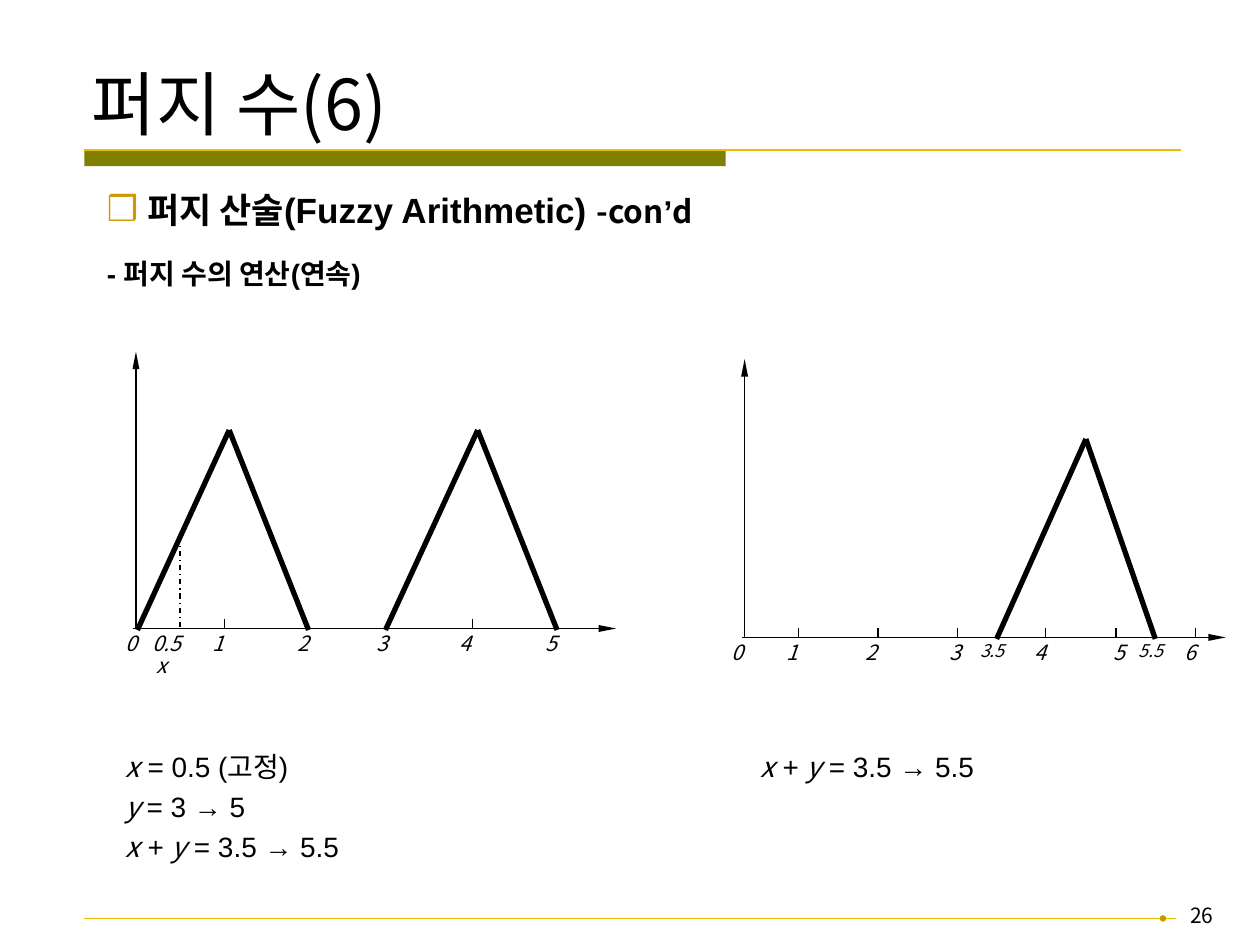
from dataclasses import dataclass

from lxml import etree
from pptx import Presentation
from pptx.dml.color import RGBColor
from pptx.enum.dml import MSO_LINE
from pptx.enum.shapes import MSO_CONNECTOR, MSO_SHAPE
from pptx.enum.text import MSO_ANCHOR, MSO_AUTO_SIZE, PP_ALIGN
from pptx.oxml.ns import qn
from pptx.util import Cm, Pt

STRAIGHT = MSO_CONNECTOR.STRAIGHT
RECT, OVAL = MSO_SHAPE.RECTANGLE, MSO_SHAPE.OVAL
DASH_DOT = MSO_LINE.DASH_DOT
TOP, BOTTOM = MSO_ANCHOR.TOP, MSO_ANCHOR.BOTTOM
LEFT, RIGHT, JUSTIFY = PP_ALIGN.LEFT, PP_ALIGN.RIGHT, PP_ALIGN.JUSTIFY


@dataclass(frozen=True)
class Theme:
    ink: str = "000000"
    olive: str = "808000"
    gold: str = "EABD00"
    bullet: str = "CC9900"
    korean: str = "Noto Sans CJK KR"
    latin: str = "Arial"
    title: int = 40
    heading: int = 20
    subheading: int = 18
    body: int = 16
    label: int = 12
    small: int = 10


T = Theme()


def write(p, text, size=T.label, font=T.korean, bold=False, italic=False):
    """Add one formatted run to a paragraph."""
    r = p.add_run()
    r.text = text
    f = r.font
    f.size, f.bold, f.italic = Pt(size), bold, italic
    f.color.rgb = RGBColor.from_string(T.ink)
    f.name = font
    etree.SubElement(r._r.get_or_add_rPr(), qn("a:ea"), typeface=T.korean)


def space(p, line=1.0, before=0, align=LEFT):
    p.line_spacing, p.space_before, p.alignment = line, Pt(before), align


def place(sp, x, y, w, h):
    sp.left, sp.top, sp.width, sp.height = Cm(x), Cm(y), Cm(w), Cm(h)


def frame(sp, anchor=TOP):
    tf = sp.text_frame
    tf.word_wrap, tf.auto_size = True, MSO_AUTO_SIZE.NONE
    tf.vertical_anchor = anchor
    return tf


def text_box(slide, x, y, w, h):
    return frame(slide.shapes.add_textbox(Cm(x), Cm(y), Cm(w), Cm(h)))


def paragraphs(tf, count):
    return [tf.paragraphs[0]] + [tf.add_paragraph() for _ in range(count - 1)]


def bullet(p, char=None, indent=0.0):
    pPr = p._p.get_or_add_pPr()
    pPr.set("marL", str(Cm(indent)))
    pPr.set("indent", str(-Cm(indent)))
    if char:
        color = etree.SubElement(pPr, qn("a:buClr"))
        etree.SubElement(color, qn("a:srgbClr"), val=T.bullet)
        etree.SubElement(pPr, qn("a:buChar"), char=char)
    else:
        etree.SubElement(pPr, qn("a:buNone"))


def line(slide, start, end, width=0.75, color=T.ink, dash=None, arrow=False):
    cx = slide.shapes.add_connector(STRAIGHT, *map(Cm, start + end))
    cx.line.width = Pt(width)
    cx.line.color.rgb = RGBColor.from_string(color)
    if dash:
        cx.line.dash_style = dash
    if arrow:
        etree.SubElement(cx.line._get_or_add_ln(), qn("a:tailEnd"),
                         type="triangle", w="sm", len="lg")
    etree.SubElement(cx._element.spPr, qn("a:effectLst"))


def solid(slide, kind, color, x, y, w, h):
    sp = slide.shapes.add_shape(kind, Cm(x), Cm(y), Cm(w), Cm(h))
    sp.shadow.inherit = False
    sp.fill.solid()
    sp.fill.fore_color.rgb = RGBColor.from_string(color)
    sp.line.fill.background()


def label(slide, x, y, *lines):
    """Axis label; half values are wider than whole ones."""
    width = 1.19 if "." in lines[0] else 0.89
    tf = text_box(slide, x, y, width, 0.81)
    # Half values squeezed between two whole ones are set small
    size = T.small if lines[0] in ("3.5", "5.5") else T.label
    for p, text in zip(paragraphs(tf, len(lines)), lines):
        space(p, line=0.85, align=JUSTIFY)
        write(p, text, size=size, italic=True)


def plot(slide, x, y, top, right, ticks, triangles, labels):
    """Axes, ticks, fuzzy numbers (left foot, peak, right foot) and labels."""
    line(slide, (x - 0.05, y), (right, y), arrow=True)
    line(slide, (x, y), (x, top), arrow=True)
    for tick in ticks:
        line(slide, (tick, y - 0.2), (tick, y))
    for left_foot, peak, right_foot in triangles:
        for foot in (left_foot, right_foot):
            line(slide, (peak, y - 4), (foot, y + 0.03), width=3)
    for left, *lines in labels:
        label(slide, left, y, *lines)


def formulas(slide, x, h, rows):
    """Formula lines in which the variables are italic."""
    tf = text_box(slide, x, 15.09, 7.42, h)
    tf.margin_top = tf.margin_bottom = Cm(0.1)
    for i, (p, row) in enumerate(zip(paragraphs(tf, len(rows)), rows)):
        space(p, line=0.9, before=5.5 if i else 0)
        for part in row:
            var = part.strip() in ("x", "y")
            write(p, part, size=T.body, italic=var,
                  font=T.korean if var else T.latin)


def heading(slide):
    sp = slide.shapes.title
    place(sp, 1.6, 0.13, 21.51, 2.79)
    tf = frame(sp, BOTTOM)
    tf.margin_bottom = 0
    space(tf.paragraphs[0])
    write(tf.paragraphs[0], "퍼지 수(6)", size=T.title)
    solid(slide, RECT, T.olive, 1.7, 3.02, 12.93, 0.33)
    line(slide, (1.7, 3.02), (23.8, 3.02), width=1.25, color=T.gold)


def topics(slide):
    sp = slide.placeholders[1]
    place(sp, 1.9, 3.58, 22.61, 3.56)
    first, second = paragraphs(frame(sp), 2)
    bullet(first, "❒", 0.81)
    space(first, line=1.1)
    write(first, "퍼지 산술(Fuzzy Arithmetic) ", size=T.heading, font=T.latin, bold=True)
    for text, font in (("-con", T.korean), ("’", T.latin), ("d", T.korean)):
        write(first, text, size=T.subheading, font=font, bold=True)
    bullet(second)
    space(second, line=1.1, before=13)
    write(second, "- 퍼지 수의 연산(연속)", size=T.body, font=T.latin, bold=True)


def footer(slide):
    line(slide, (1.7, 18.52), (23.7, 18.52), width=0.5, color=T.gold)
    solid(slide, OVAL, T.bullet, 23.38, 18.45, 0.13, 0.13)
    p = text_box(slide, 19.2, 18.14, 5.51, 0.9).paragraphs[0]
    space(p, line=0.85, align=RIGHT)
    write(p, "26")


def main():
    prs = Presentation()
    prs.slide_width, prs.slide_height = Cm(25.4), Cm(19.05)
    slide = prs.slides.add_slide(prs.slide_layouts[1])
    heading(slide)
    topics(slide)

    # Operands x and y, with x fixed at 0.5
    plot(slide, x=2.74, y=12.67, top=7.09, right=12.42, ticks=(4.52, 9.53),
         triangles=((2.77, 4.62, 6.22), (7.77, 9.63, 11.23)),
         labels=((2.29, "0"), (2.82, "0.5", " x"), (4.04, "1"), (5.74, "2"),
                 (7.34, "3"), (9.02, "4"), (10.74, "5")))
    line(slide, (3.63, 10.82), (3.63, 12.65), dash=DASH_DOT)

    # Sum x + y
    plot(slide, x=15.01, y=12.85, top=7.24, right=24.71,
         ticks=(16.1, 17.7, 19.3, 21.08, 22.5, 24.1),
         triangles=((20.09, 21.89, 23.29),),
         labels=((14.5, "0"), (15.6, "1"), (17.2, "2"), (18.9, "3"),
                 (19.51, "3.5"), (20.6, "4"), (22.2, "5"), (22.71, "5.5"),
                 (23.62, "6")))

    # Formulas below the plots
    total = ("x", " + ", "y", " = 3.5 → 5.5")
    formulas(slide, 2.29, 2.84, [("x", " = 0.5 (고정)"), ("y ", "= 3 → 5"), total])
    formulas(slide, 15.09, 0.86, [total])
    footer(slide)
    prs.save("out.pptx")


if __name__ == "__main__":
    main()
